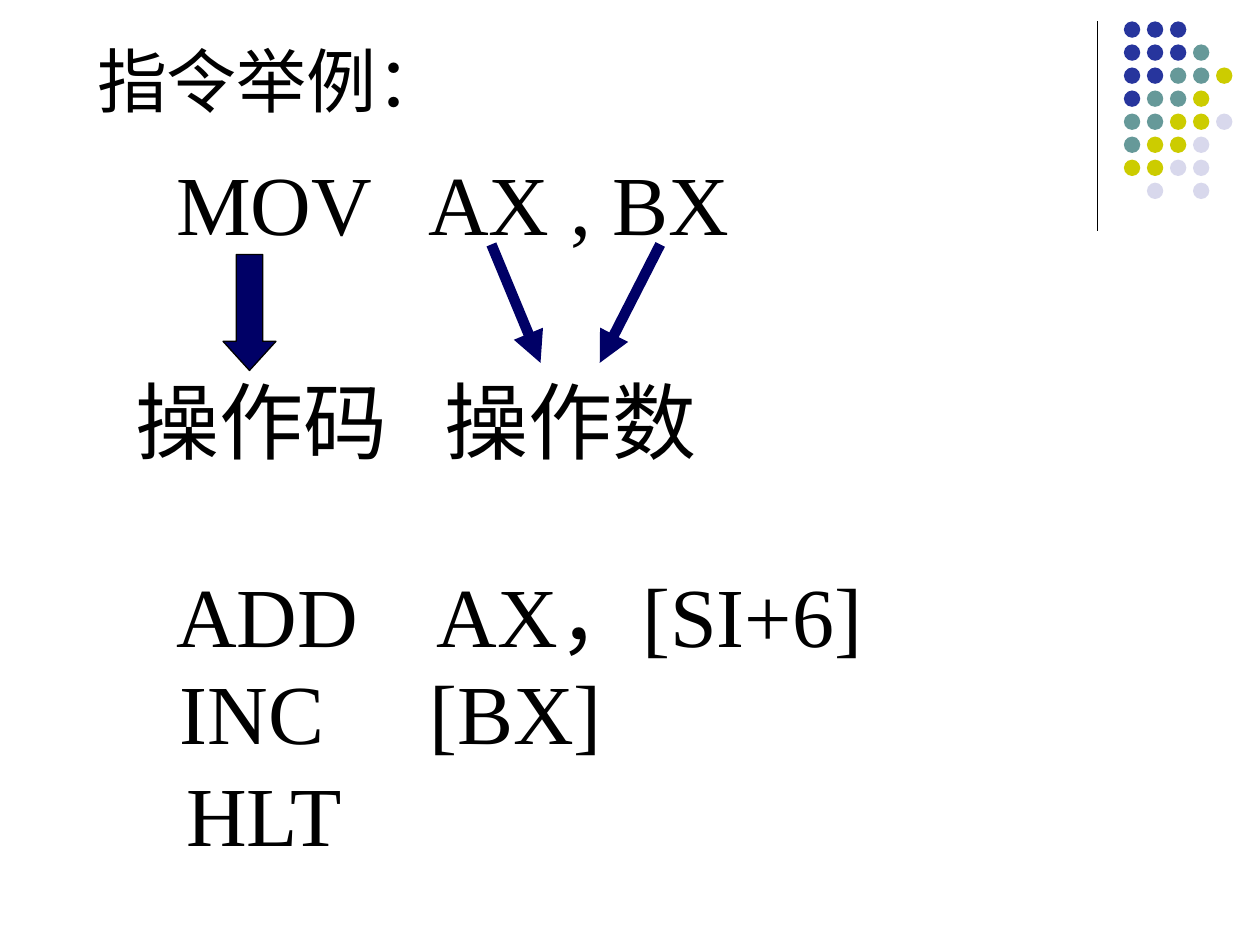
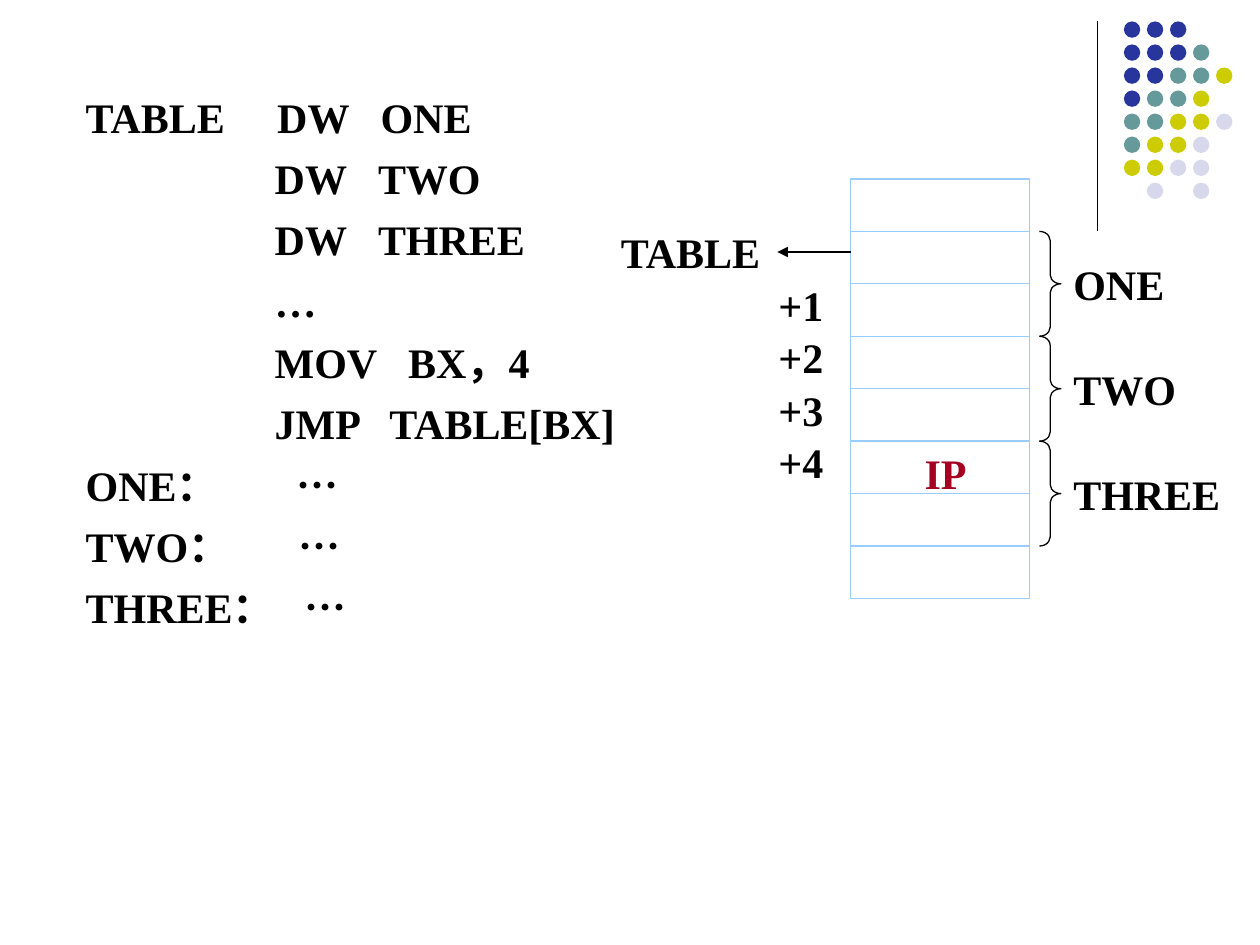
from pptx import Presentation
from pptx.dml.color import RGBColor
from pptx.enum import lang, shapes, text
from pptx.oxml.ns import qn
from pptx.util import Inches, Pt
from lxml import etree

BLACK = RGBColor(0x00, 0x00, 0x00)
NAVY = RGBColor(0x00, 0x00, 0x66)
CRIMSON = RGBColor(0xA5, 0x00, 0x21)
SKY = RGBColor(0x99, 0xCC, 0xFF)
DOT_COLORS = {
    "B": RGBColor(0x27, 0x35, 0x9D),
    "T": RGBColor(0x66, 0x99, 0x99),
    "Y": RGBColor(0xCC, 0xCC, 0x00),
    "L": RGBColor(0xD8, 0xD8, 0xEC),
}
DOT_ROWS = ["BBB", "BBBT", "BBTTY", "BTTY", "TTYYL", "TYYL", "YYLL", " L L"]
DOT_LEFT, DOT_TOP, DOT_SIZE, DOT_SPAN = 8.92, 0.17, 0.13, 1.28

BASE = {"name": "Times New Roman", "bold": False,
        "language_id": lang.MSO_LANGUAGE_ID.SIMPLIFIED_CHINESE}
TITLE = {**BASE, "size": Pt(40)}
INSTRUCTION = {**BASE, "size": Pt(48)}
CODE = {**BASE, "size": Pt(24), "bold": True}

EXAMPLE_TITLE = "指令举例："
INSTRUCTIONS = [
    ("MOV\tAX , BX", [2], (1.3, 1.15, 7.17, 0.9)),
    ("操作码\t操作数", [2.45], (0.98, 2.88, 5.98, 0.9)),
    ("ADD\tAX，[SI+6]", [2.07], (1.3, 4.42, 6.74, 0.9)),
    ("INC\t[BX]", [1.98], (1.33, 5.19, 5.08, 0.9)),
    ("HLT", [], (1.38, 6, 5.08, 0.9)),
]
OPERAND_ARROWS = [((3.9, 1.94), (4.29, 2.88)), ((5.24, 1.94), (4.76, 2.88))]

JUMP_CODE = [
    ("TABLE\tDW\tONE", [1.52, 2.34]),
    ("\tDW\tTWO", [1.5, 2.32]),
    ("\tDW\tTHREE", [1.5, 2.32]),
    ("\t…", [1.5]),
    ("\tMOV\tBX，4", [1.5, 2.56]),
    ("\tJMP\tTABLE[BX]", [1.5, 2.41]),
    ("ONE：\t…", [1.67]),
    ("TWO：\t…", [1.69]),
    ("THREE：\t…", [1.74]),
]
CELLS = 8
STACK_LEFT, STACK_TOP, STACK_W, STACK_H = 6.75, 1.42, 1.42, 3.33
CELL_H = STACK_H / CELLS
OFFSETS = ["+1", "+2", "+3", "+4"]
ENTRIES = [("ONE", 1), ("TWO", 1.17), ("THREE", 1.5)]


def style(obj, values):
    for name, value in values.items():
        setattr(obj, name, value)


def write(shape, lines, font, color=BLACK, align=text.PP_ALIGN.LEFT, **spacing):
    tf = shape.text_frame
    style(tf, {"word_wrap": True, "auto_size": text.MSO_AUTO_SIZE.NONE,
               "vertical_anchor": text.MSO_ANCHOR.TOP})
    for i, (line, stops) in enumerate(lines):
        p = tf.paragraphs[0] if i == 0 else tf.add_paragraph()
        pPr = p._p.get_or_add_pPr()
        etree.SubElement(pPr, qn("a:buNone"))
        if stops:
            tabs = etree.SubElement(pPr, qn("a:tabLst"))
            for stop in stops:
                etree.SubElement(tabs, qn("a:tab"), pos=str(Inches(stop)), algn="l")
        style(p, {"alignment": align, **spacing})
        if i == 0:
            p.space_before = Pt(0)
        r = p.add_run()
        r.text = line
        style(r.font, font)
        r.font.color.rgb = color


def place(shape, box):
    style(shape, dict(zip(("left", "top", "width", "height"), map(Inches, box))))


def label(s, line, box, font=CODE, stops=(), **options):
    write(s.shapes.add_textbox(*map(Inches, box)), [(line, stops)], font, **options)


def add_shape(s, kind, box, fill=None, line=None):
    sp = s.shapes.add_shape(kind, *map(Inches, box))
    sp.shadow.inherit = False
    if fill is None:
        sp.fill.background()
    else:
        sp.fill.solid()
        sp.fill.fore_color.rgb = fill
    if line is None:
        sp.line.fill.background()
    else:
        sp.line.color.rgb = line
        sp.line.width = Pt(0.75)
    return sp


def add_line(s, start, end, color=BLACK, width=0.75, arrow=True):
    c = s.shapes.add_connector(shapes.MSO_CONNECTOR.STRAIGHT,
                               *map(Inches, (*start, *end)))
    c.line.color.rgb = color
    c.line.width = Pt(width)
    if arrow:
        etree.SubElement(c.line._get_or_add_ln(), qn("a:tailEnd"), type="triangle")
    etree.SubElement(c.element.spPr, qn("a:effectLst"))
    return c


def clear_body_indent(prs):
    body_style = next(prs.slide_master.element.iter(qn("p:bodyStyle")))
    level = body_style.find(qn("a:lvl1pPr"))
    level.set("marL", "0")
    level.attrib.pop("indent", None)


def decorate_master(prs, s):
    parts = [add_line(s, (8.71, 0.17), (8.71, 1.83), arrow=False)]
    step = DOT_SPAN / (len(DOT_ROWS) - 1)
    for row, dots in enumerate(DOT_ROWS):
        for col, key in enumerate(dots):
            if key in DOT_COLORS:
                box = (DOT_LEFT + col * step, DOT_TOP + row * step, DOT_SIZE, DOT_SIZE)
                parts.append(add_shape(s, shapes.MSO_SHAPE.OVAL, box, DOT_COLORS[key]))
    for part in parts:
        prs.slide_master.shapes.element.append(part.element)


def build_instructions(s):
    title = s.shapes.title
    place(title, (0.67, 0.25, 8, 0.77))
    write(title, [(EXAMPLE_TITLE, [])], TITLE)
    for line, stops, box in INSTRUCTIONS:
        label(s, line, box, INSTRUCTION, stops)
    arrow = add_shape(s, shapes.MSO_SHAPE.DOWN_ARROW, (1.77, 2.02, 0.42, 0.92), NAVY, BLACK)
    arrow.adjustments[1] = 0.55
    for start, end in OPERAND_ARROWS:
        add_line(s, start, end, NAVY, 6)


def build_jump_table(s):
    title = s.shapes.title.element
    title.getparent().remove(title)
    body = s.placeholders[1]
    place(body, (0.58, 0.75, 4.58, 4.32))
    write(body, JUMP_CODE, CODE, line_spacing=0.8, space_before=Pt(6), space_after=Pt(6))

    for i in range(CELLS):
        box = (STACK_LEFT, STACK_TOP + i * CELL_H, STACK_W, CELL_H)
        add_shape(s, shapes.MSO_SHAPE.RECTANGLE, box, line=SKY)

    label(s, "TABLE", (4.83, 1.75, 1.5, 0.5))
    add_line(s, (STACK_LEFT, 2), (6.17, 2))
    for i, offset in enumerate(OFFSETS, 1):
        label(s, offset, (6.08, 1.75 + i * CELL_H, 0.75, 0.5))

    for i, (entry, width) in enumerate(ENTRIES):
        top = STACK_TOP + (1 + 2 * i) * CELL_H
        brace = add_shape(s, shapes.MSO_SHAPE.RIGHT_BRACE,
                          (8.25, top, 0.17, 2 * CELL_H), line=BLACK)
        brace.adjustments[0] = 0.42
        label(s, entry, (8.42, top + 0.17, width, 0.5))
    label(s, "IP", (7.17, 3.5, 0.67, 0.5), color=CRIMSON, align=text.PP_ALIGN.CENTER)


def main():
    prs = Presentation()
    prs.slide_width, prs.slide_height = Inches(10), Inches(7.5)
    clear_body_indent(prs)
    instructions = prs.slides.add_slide(prs.slide_layouts[5])
    decorate_master(prs, instructions)
    build_instructions(instructions)
    build_jump_table(prs.slides.add_slide(prs.slide_layouts[1]))
    prs.save("out.pptx")


if __name__ == "__main__":
    main()
